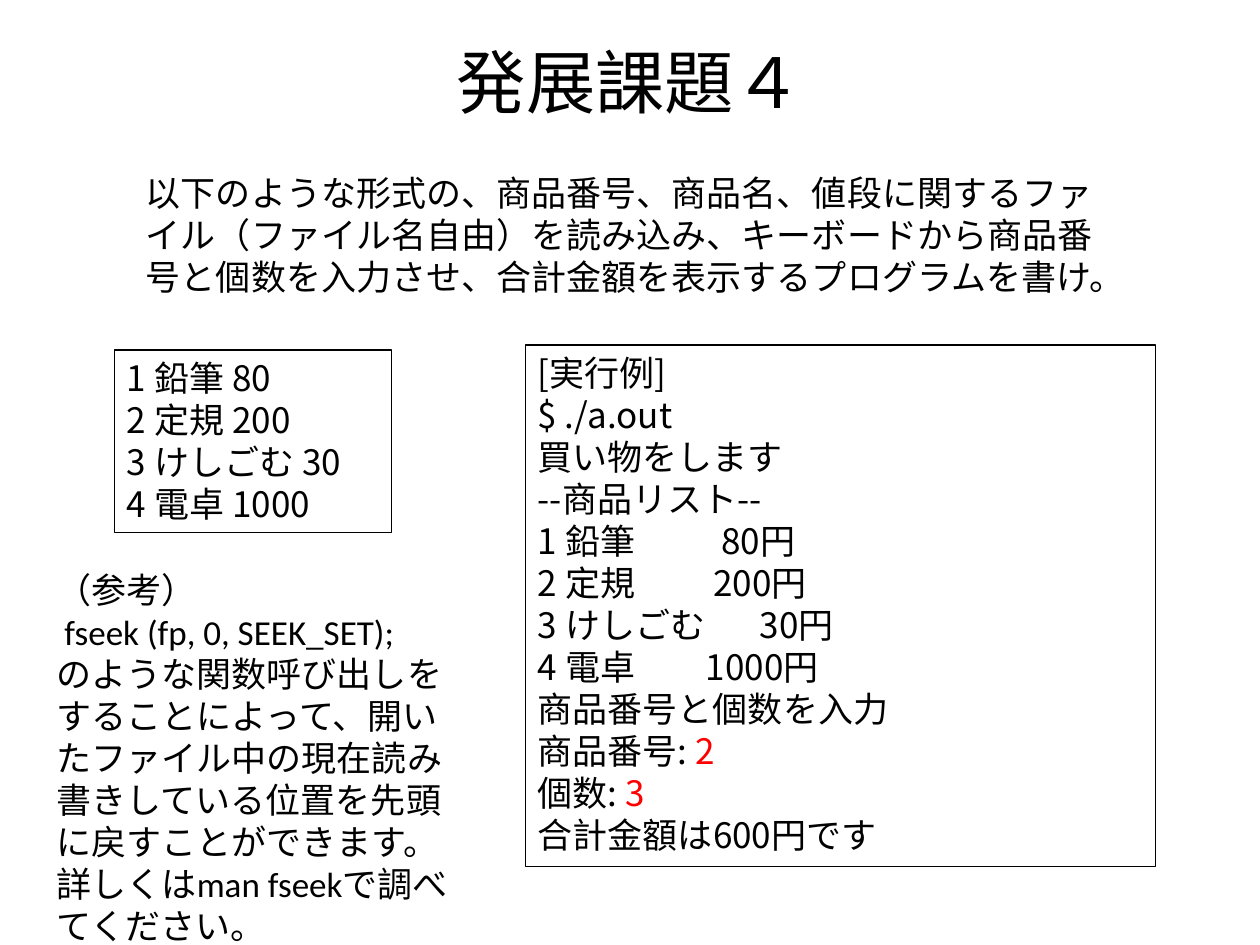
from dataclasses import dataclass

import pptx
import pptx.dml.color
import pptx.enum.shapes
import pptx.enum.text
import pptx.oxml.ns
import pptx.util
from lxml import etree

Pt = pptx.util.Pt
COLORS = {"ink": "000000", "input": "FF0000"}
LATIN, ASIAN = "Calibri", "Noto Sans CJK JP"


@dataclass
class Line:
    text: str
    typed: str = ""
    tab: float = 0


@dataclass
class Box:
    place: tuple[float, float, float, float]
    lines: list[Line]
    font: str = LATIN
    framed: bool = False


BOXES = [
    Box((76.3, 94.3, 561.6, 79.9), [Line(
        "以下のような形式の、商品番号、商品名、値段に関するファイル（ファイル名自由）を"
        "読み込み、キーボードから商品番号と個数を入力させ、合計金額を表示するプログラムを書け。")]),
    Box((65.5, 200, 158.4, 104.4), [
        Line("1 鉛筆 80"),
        Line("2 定規 200"),
        Line("3 けしごむ 30"),
        Line("4 電卓 1000"),
    ], ASIAN, True),
    Box((300.2, 197.2, 360, 298), [
        Line("[実行例]"),
        Line("$ ./a.out"),
        Line("買い物をします"),
        Line("--商品リスト--"),
        Line("1 鉛筆\t80円", tab=105),
        Line("2 定規\t200円", tab=100.5),
        Line("3 けしごむ\t30円", tab=127),
        Line("4 電卓\t1000円", tab=96),
        Line("商品番号と個数を入力"),
        Line("商品番号: ", "2"),
        Line("個数: ", "3"),
        Line("合計金額は600円です"),
    ], ASIAN, True),
    Box((25.2, 321.1, 244.1, 200.9), [
        Line("（参考）"),
        Line(" fseek (fp, 0, SEEK_SET);"),
        Line("のような関数呼び出しをすることによって、開いたファイル中の現在読み書きしている"
             "位置を先頭に戻すことができます。詳しくはman fseekで調べてください。"),
    ]),
]


def paint(color, name: str) -> None:
    color.rgb = pptx.dml.color.RGBColor.from_string(COLORS[name])


def add_run(para, text: str, size: float, face: str, color: str = "ink") -> None:
    run = para.add_run()
    run.text = text
    for key, value in {"size": Pt(size), "name": face}.items():
        setattr(run.font, key, value)
    paint(run.font.color, color)
    east = etree.Element(pptx.oxml.ns.qn("a:ea"), typeface=ASIAN)
    run.font._element.find(pptx.oxml.ns.qn("a:latin")).addnext(east)


def add_tab(para, stop: float) -> None:
    tabs = etree.SubElement(para._p.get_or_add_pPr(), pptx.oxml.ns.qn("a:tabLst"))
    etree.SubElement(tabs, pptx.oxml.ns.qn("a:tab"), pos=str(Pt(stop)), algn="l")


def add_box(slide, box: Box) -> None:
    place = map(Pt, box.place)
    if box.framed:
        shape = slide.shapes.add_shape(
            pptx.enum.shapes.MSO_SHAPE.RECTANGLE, *place)
        shape.shadow.inherit = False
        shape.fill.background()
        shape.line.width = Pt(0.75)
        paint(shape.line.color, "ink")
    else:
        shape = slide.shapes.add_textbox(*place)
    frame = shape.text_frame
    look = {
        "word_wrap": True,
        "auto_size": pptx.enum.text.MSO_AUTO_SIZE.SHAPE_TO_FIT_TEXT,
        "vertical_anchor": pptx.enum.text.MSO_ANCHOR.TOP,
    }
    for key, value in look.items():
        setattr(frame, key, value)
    for i, line in enumerate(box.lines):
        para = frame.add_paragraph() if i else frame.paragraphs[0]
        para.alignment = pptx.enum.text.PP_ALIGN.LEFT
        if line.tab:
            add_tab(para, line.tab)
        add_run(para, line.text, 20, box.font)
        if line.typed:
            add_run(para, line.typed, 20, box.font, "input")


def add_title(slide, text: str) -> None:
    title = slide.shapes.title
    place = {"left": 36, "top": 21.6, "width": 648, "height": 49.7}
    for key, value in place.items():
        setattr(title, key, Pt(value))
    frame = title.text_frame
    frame.auto_size = pptx.enum.text.MSO_AUTO_SIZE.NONE
    frame.vertical_anchor = pptx.enum.text.MSO_ANCHOR.MIDDLE
    para = frame.paragraphs[0]
    para.alignment = pptx.enum.text.PP_ALIGN.CENTER
    add_run(para, text, 39.6, LATIN)


def main() -> None:
    deck = pptx.Presentation()
    deck.slide_width, deck.slide_height = Pt(720), Pt(540)
    slide = deck.slides.add_slide(deck.slide_layouts.get_by_name("Title Only"))
    add_title(slide, "発展課題４")
    for box in BOXES:
        add_box(slide, box)
    deck.save("out.pptx")


if __name__ == "__main__":
    main()
